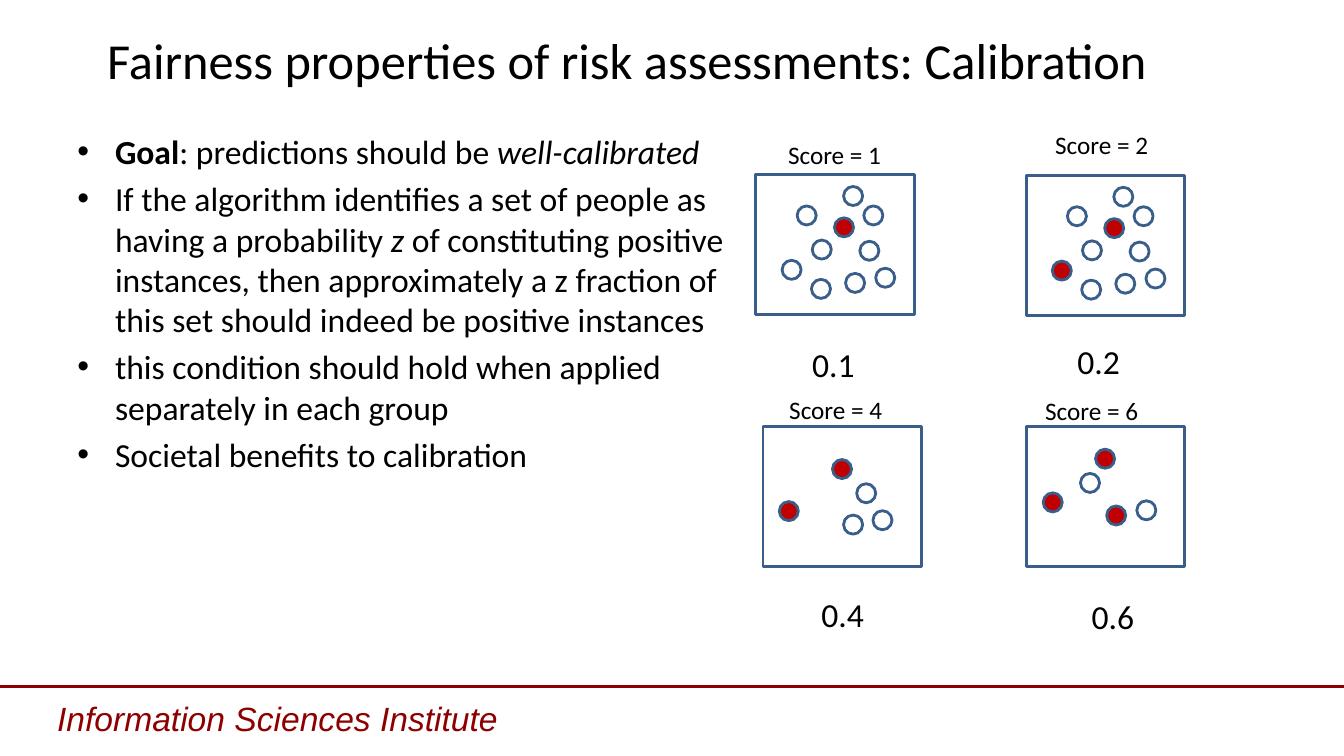
from lxml import etree
from pptx import Presentation
from pptx.dml.color import RGBColor
from pptx.enum.shapes import MSO_CONNECTOR, MSO_SHAPE
from pptx.enum.text import MSO_ANCHOR, PP_ALIGN
from pptx.oxml.ns import qn
from pptx.util import Cm, Pt

STRAIGHT = MSO_CONNECTOR.STRAIGHT
RECTANGLE, OVAL = MSO_SHAPE.RECTANGLE, MSO_SHAPE.OVAL
MIDDLE, TOP = MSO_ANCHOR.MIDDLE, MSO_ANCHOR.TOP
CENTER, LEFT = PP_ALIGN.CENTER, PP_ALIGN.LEFT

BLACK = RGBColor(0x00, 0x00, 0x00)
WHITE = RGBColor(0xFF, 0xFF, 0xFF)
MAROON = RGBColor(0x8E, 0x00, 0x00)
POSITIVE_RED = RGBColor(0xC0, 0x00, 0x00)
OUTLINE_BLUE = RGBColor(0x39, 0x5E, 0x89)

SLIDE_WIDTH, SLIDE_HEIGHT = 33.87, 19.05
PANEL_WIDTH, PANEL_HEIGHT = 3.99, 3.53
DOT_SIZE = 0.48

GOALS = [
    [("Goal", "b"), (": predictions should be ", ""), ("well-calibrated", "i")],
    [("If the algorithm identifies a set of people as having a probability ", ""),
     ("z", "i"),
     (" of constituting positive instances, then approximately a z fraction of "
      "this set should indeed be positive instances", "")],
    [("this condition should hold when applied separately in each group", "")],
    [("Societal benefits to calibration", "")],
]

TEN_PEOPLE = [(1.04, 0.79), (1.42, 1.65), (1.4, 2.64), (2.62, 1.68), (0.66, 2.16),
              (2.72, 0.79), (3.02, 2.36), (2.26, 2.49), (2.21, 0.3), (1.98, 1.09)]
FIVE_PEOPLE_LOW = [(2.36, 1.45), (0.41, 1.9), (2.77, 2.13), (2.03, 2.24), (1.75, 0.84)]
FIVE_PEOPLE_HIGH = [(1.37, 1.19), (0.43, 1.68), (2.79, 1.88), (2.03, 2.01), (1.75, 0.58)]

# Each panel: corner, score, score offset, share, share offset, people, positive indices
PANELS = [
    ((19.05, 4.4), "Score = 1", (0.56, -1.02), "0.1", (1.17, 4.14), TEN_PEOPLE, {9}),
    ((25.86, 4.42), "Score = 2", (0.48, -1.28), "0.2", (1.04, 4.04), TEN_PEOPLE, {4, 9}),
    ((19.23, 10.74), "Score = 4", (0.41, -0.94), "0.4", (1.22, 4.09), FIVE_PEOPLE_LOW, {1, 4}),
    ((25.86, 10.74), "Score = 6", (0.23, -0.91), "0.6", (1.4, 4.14), FIVE_PEOPLE_HIGH, {1, 3, 4}),
]


def style_font(font, size, color=BLACK, name="Calibri"):
    """Set the face, size and colour of a font."""
    font.name, font.size, font.color.rgb = name, Pt(size), color


def add_text_frame(slide, left, top, width, height, wrap=True, anchor=TOP):
    """Add an empty text box and return its frame."""
    frame = slide.shapes.add_textbox(Cm(left), Cm(top), Cm(width), Cm(height)).text_frame
    frame.word_wrap = wrap
    frame.vertical_anchor = anchor
    return frame


def add_label(slide, left, top, width, height, text, size):
    """Add a one-line label beside a panel."""
    label = add_text_frame(slide, left, top, width, height, wrap=False).paragraphs[0]
    label.text, label.alignment = text, LEFT
    style_font(label.font, size)


def add_outlined(slide, preset, left, top, width, height, fill):
    """Add a filled shape with the blue outline."""
    shape = slide.shapes.add_shape(preset, Cm(left), Cm(top), Cm(width), Cm(height))
    shape.shadow.inherit = False
    shape.fill.solid()
    shape.fill.fore_color.rgb = fill
    shape.line.color.rgb = OUTLINE_BLUE
    shape.line.width = Pt(2)


def add_footer(slide, left, top, width):
    """Draw the footer rule and the institute name under it."""
    rule = slide.shapes.add_connector(STRAIGHT, Cm(left), Cm(top), Cm(left + width), Cm(top))
    rule.line.color.rgb = MAROON
    rule.line.width = Pt(2.25)
    etree.SubElement(rule._element.spPr, qn("a:effectLst"))
    institute = add_text_frame(slide, left + 1.19, top + 0.15, 16.69, 1.3).paragraphs[0]
    institute.text = "Information Sciences Institute"
    style_font(institute.font, 24, MAROON, "Arial")
    institute.font.italic = True


def add_title(slide, left, top, width, height):
    """Place the centred slide title."""
    title = add_text_frame(slide, left, top, width, height, anchor=MIDDLE).paragraphs[0]
    title.text = "Fairness properties of risk assessments: Calibration "
    title.alignment = CENTER
    style_font(title.font, 36)


def add_goals(slide, left, top, width, height):
    """Write the bulleted calibration goals."""
    frame = add_text_frame(slide, left, top, width, height)
    for index, parts in enumerate(GOALS):
        goal = frame.add_paragraph() if index else frame.paragraphs[0]
        properties = goal._p.get_or_add_pPr()
        properties.set("marL", str(Cm(0.95)))
        properties.set("indent", str(-Cm(0.95)))
        etree.SubElement(properties, qn("a:buFont")).set("typeface", "Arial")
        etree.SubElement(properties, qn("a:buChar")).set("char", "•")
        style_font(goal.font, 24)
        if index:
            goal.space_before = Pt(4.8)
        for text, emphasis in parts:
            run = goal.add_run()
            run.text = text
            if emphasis == "b":
                run.font.bold = True
            elif emphasis == "i":
                run.font.italic = True


def add_panel(slide, corner, score, score_offset, share, share_offset, people, positives):
    """Draw one score group with its people, score and positive share."""
    left, top = corner
    add_outlined(slide, RECTANGLE, left, top, PANEL_WIDTH, PANEL_HEIGHT, WHITE)
    for index, (dx, dy) in enumerate(people):
        fill = POSITIVE_RED if index in positives else WHITE
        add_outlined(slide, OVAL, left + dx, top + dy, DOT_SIZE, DOT_SIZE, fill)
    add_label(slide, left + score_offset[0], top + score_offset[1], 2.9, 1.02, score, 18)
    add_label(slide, left + share_offset[0], top + share_offset[1], 1.6, 1.27, share, 24)


def main():
    """Build and save the calibration slide."""
    presentation = Presentation()
    presentation.slide_width, presentation.slide_height = Cm(SLIDE_WIDTH), Cm(SLIDE_HEIGHT)
    slide = presentation.slides.add_slide(presentation.slide_layouts[6])
    add_footer(slide, 0, 17.3, SLIDE_WIDTH)
    add_title(slide, 1.7, 0.61, 28.5, 1.78)
    add_goals(slide, 1.7, 3.18, 17.12, 13.84)
    for panel in PANELS:
        add_panel(slide, *panel)
    presentation.save("out.pptx")


if __name__ == "__main__":
    main()
